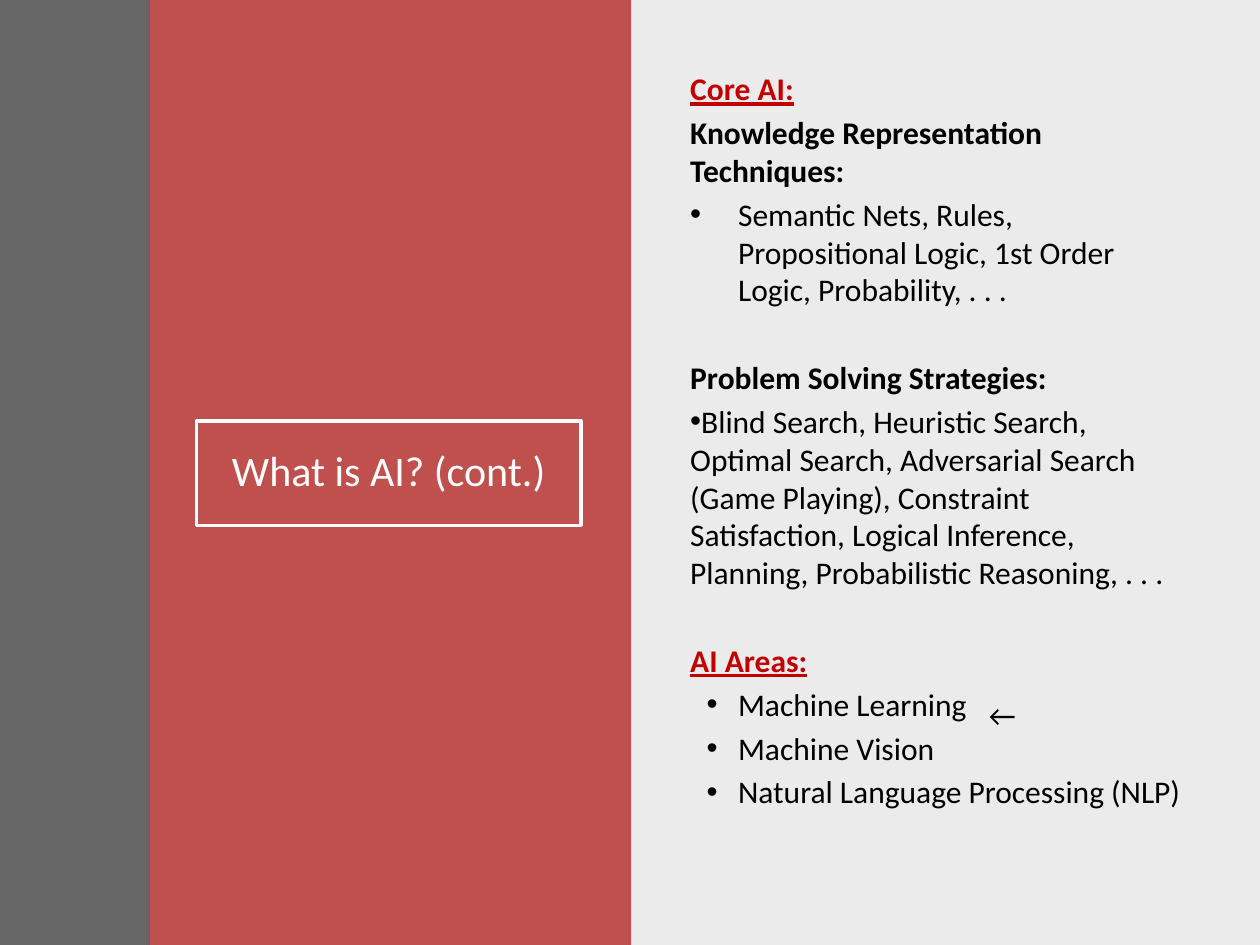
import pptx
import pptx.dml.color
import pptx.enum.shapes
import pptx.enum.text
import pptx.oxml.ns
import pptx.util
from lxml import etree

Inches = pptx.util.Inches
Pt = pptx.util.Pt
qn = pptx.oxml.ns.qn

COLORS = {
    "black": "000000",
    "white": "FFFFFF",
    "red": "C0504D",
    "heading": "C00000",
    "gray": "404040",
}
LINE_GAP = 3.5
SECTION_GAP = 28.5

# Kind of paragraph: colour, bold, underline, bullet indent (left, first line)
KINDS = {
    "heading": ("heading", True, True, None),
    "subheading": ("black", True, False, None),
    "hanging": ("black", False, False, (0.38, -0.38)),
    "flush": ("black", False, False, (0, -0.25)),
    "area": ("black", False, False, (0.38, -0.25)),
}
CONTENT = [
    ("heading", "Core AI:", 0),
    ("subheading", "Knowledge Representation Techniques:", LINE_GAP),
    ("hanging", "Semantic Nets, Rules, Propositional Logic, 1st Order Logic, "
     "Probability, . . .", LINE_GAP),
    ("subheading", "Problem Solving Strategies:", SECTION_GAP),
    ("flush", "Blind Search, Heuristic Search, Optimal Search, Adversarial Search "
     "(Game Playing), Constraint Satisfaction, Logical Inference, Planning, "
     "Probabilistic Reasoning, . . .", LINE_GAP),
    ("heading", "AI Areas:", SECTION_GAP),
    ("area", "Machine Learning", LINE_GAP),
    ("area", "Machine Vision", LINE_GAP),
    ("area", "Natural Language Processing (NLP)", LINE_GAP),
]


class SlideBuilder:
    """Draws styled panels and text on the current page."""

    font = "Calibri"

    def __init__(self, page):
        self.page = page

    def color(self, name):
        return pptx.dml.color.RGBColor.from_string(COLORS[name])

    def panel(self, left, top, width, height, fill=None, alpha=100, line=None):
        box = self.page.shapes.add_shape(
            pptx.enum.shapes.MSO_SHAPE.RECTANGLE,
            Inches(left), Inches(top), Inches(width), Inches(height))
        box.shadow.inherit = False
        if fill:
            box.fill.solid()
            box.fill.fore_color.rgb = self.color(fill)
            if alpha < 100:
                tone = box.fill._xPr.find(".//" + qn("a:srgbClr"))
                etree.SubElement(tone, qn("a:alpha"), val=str(alpha * 1000))
        else:
            box.fill.background()
        if line:
            box.line.color.rgb = self.color(line)
            box.line.width = Pt(2)
        else:
            box.line.fill.background()
        return box

    def text_box(self, left, top, width, height):
        box = self.page.shapes.add_textbox(
            Inches(left), Inches(top), Inches(width), Inches(height))
        box.text_frame.word_wrap = True
        return box

    def span(self, para, text, size, color, bold=False, underline=False):
        span = para.add_run()
        span.text = text
        span.font.name = self.font
        span.font.size = Pt(size)
        span.font.bold = bold
        span.font.underline = underline
        span.font.color.rgb = self.color(color)

    def bullet(self, para, left, first):
        properties = para._p.get_or_add_pPr()
        properties.set("marL", str(Inches(left)))
        properties.set("indent", str(Inches(first)))
        etree.SubElement(properties, qn("a:buFont"), typeface="Arial")
        etree.SubElement(properties, qn("a:buChar"), char="•")

    def content(self, box, items):
        frame = box.text_frame
        for index, (kind, text, gap) in enumerate(items):
            para = frame.add_paragraph() if index else frame.paragraphs[0]
            color, bold, underline, indent = KINDS[kind]
            if indent:
                self.bullet(para, *indent)
            para.space_before = Pt(gap)
            self.span(para, text, 18, color, bold, underline)


def main():
    deck = pptx.Presentation()
    deck.slide_width = Inches(10)
    deck.slide_height = Inches(7.5)
    builder = SlideBuilder(deck.slides.add_slide(deck.slide_layouts[6]))

    builder.panel(5, 0, 5, 7.5, "black", alpha=8)
    builder.panel(1.19, 0, 3.82, 7.5, "red")
    title = builder.panel(1.56, 3.34, 3.05, 0.83, line="white")
    title.text_frame.word_wrap = True
    title.text_frame.vertical_anchor = pptx.enum.text.MSO_ANCHOR.MIDDLE
    para = title.text_frame.paragraphs[0]
    para.alignment = pptx.enum.text.PP_ALIGN.CENTER
    para.line_spacing = 0.9
    builder.span(para, "What is AI? (cont.)", 24, "white")
    builder.panel(0, 0, 1.19, 7.5, "gray", alpha=80)

    builder.content(builder.text_box(5.38, 0.5, 4.14, 6.63), CONTENT)

    arrow = builder.text_box(7.75, 5.51, 0.63, 0.4)
    para = arrow.text_frame.paragraphs[0]
    para.line_spacing = 0.9
    builder.span(para, "←", 17, "black")

    deck.save("out.pptx")


if __name__ == "__main__":
    main()
